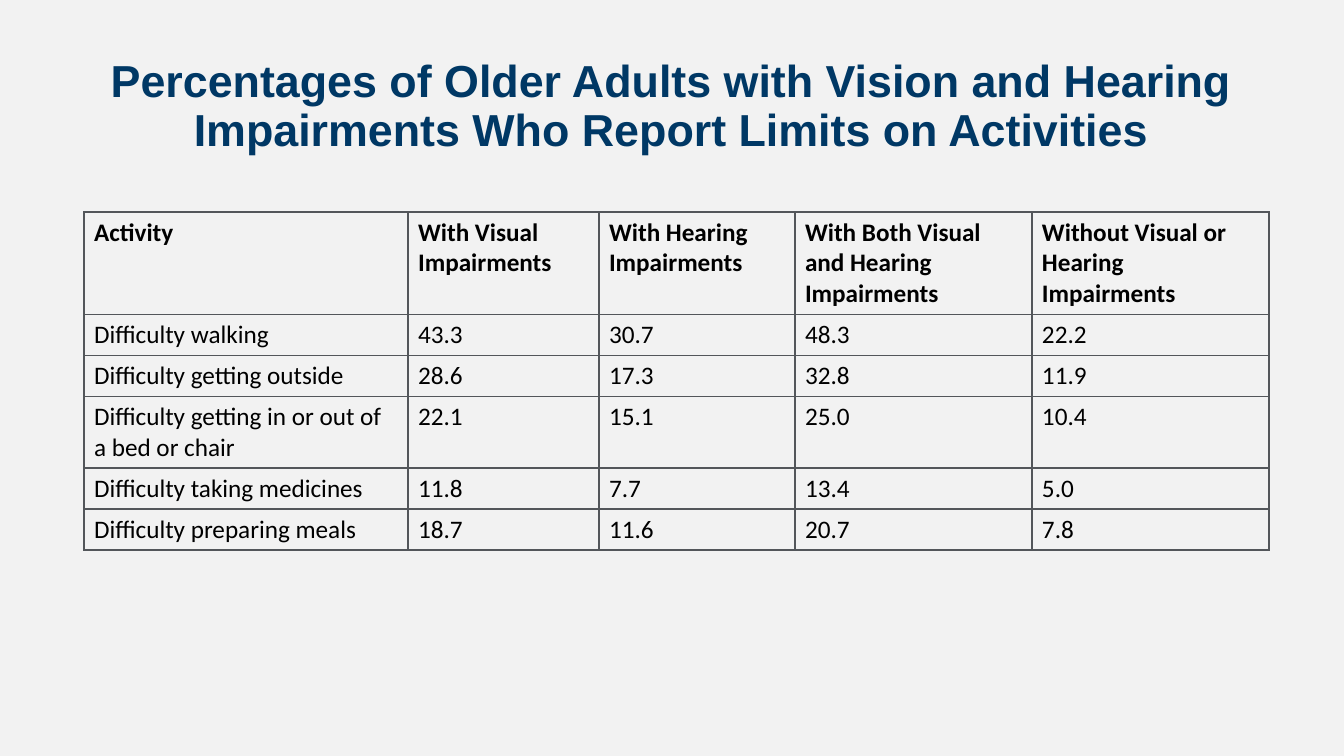
from dataclasses import dataclass

from lxml.etree import SubElement
from pptx import Presentation
from pptx.dml.color import RGBColor
from pptx.enum.text import MSO_ANCHOR, MSO_AUTO_SIZE, PP_ALIGN
from pptx.oxml.ns import qn
from pptx.slide import Slide
from pptx.table import _Cell
from pptx.text.text import _Paragraph
from pptx.util import Emu, Pt

PX = 914400 / 100.8
BACKGROUND, NAVY, BLACK, GREY = "F2F2F2", "003865", "000000", "53565A"
TITLE = ("Percentages of Older Adults with Vision and Hearing Impairments "
         "Who Report Limits on Activities")
TITLE_FORMAT = {"name": "Arial", "size": Pt(32), "bold": True}
HEADER_FORMAT = {"name": "Calibri", "size": Pt(18), "bold": True}
BODY_FORMAT = {**HEADER_FORMAT, "bold": False}
ROW_HEIGHT = 41


@dataclass
class Column:
    heading: str
    width: int


@dataclass
class Activity:
    name: str
    percentages: tuple[float, ...]


COLUMNS = [
    Column("Activity", 324),
    Column("With Visual Impairments", 191),
    Column("With Hearing Impairments", 196),
    Column("With Both Visual and Hearing Impairments", 237),
    Column("Without Visual or Hearing Impairments", 237),
]
ACTIVITIES = [
    Activity("Difficulty walking", (43.3, 30.7, 48.3, 22.2)),
    Activity("Difficulty getting outside", (28.6, 17.3, 32.8, 11.9)),
    Activity("Difficulty getting in or out of a bed or chair", (22.1, 15.1, 25.0, 10.4)),
    Activity("Difficulty taking medicines", (11.8, 7.7, 13.4, 5.0)),
    Activity("Difficulty preparing meals", (18.7, 11.6, 20.7, 7.8)),
]


def px(n: int) -> Emu:
    """Turn pixels into EMU."""
    return Emu(round(n * PX))


def rgb(value: str) -> RGBColor:
    """Turn a hex string into a colour."""
    return RGBColor.from_string(value)


def write(p: _Paragraph, text: str, values: dict, color: str) -> None:
    """Add one formatted run to a paragraph."""
    r = p.add_run()
    r.text = text
    for key, value in values.items():
        setattr(r.font, key, value)
    r.font.color.rgb = rgb(color)


def add_borders(cell: _Cell) -> None:
    """Outline all four sides of a cell."""
    tc_pr = cell._tc.get_or_add_tcPr()
    for side in ("lnL", "lnR", "lnT", "lnB"):
        ln = SubElement(tc_pr, qn(f"a:{side}"), w=str(Pt(1)))
        fill = SubElement(ln, qn("a:solidFill"))
        SubElement(fill, qn("a:srgbClr"), val=GREY)


def add_title(s: Slide) -> None:
    """Place and fill the title placeholder."""
    sp = s.shapes.title
    sp.left, sp.top, sp.width, sp.height = map(px, (52, 52, 1239, 111))
    tf = sp.text_frame
    tf.word_wrap = True
    tf.auto_size = MSO_AUTO_SIZE.NONE
    tf.vertical_anchor = MSO_ANCHOR.MIDDLE
    p = tf.paragraphs[0]
    p.alignment = PP_ALIGN.CENTER
    p.line_spacing = 0.9
    write(p, TITLE, TITLE_FORMAT, NAVY)


def add_activity_table(s: Slide) -> None:
    """Draw the table of activity limits."""
    rows = [[c.heading for c in COLUMNS]]
    rows += [[a.name, *(f"{v:.1f}" for v in a.percentages)] for a in ACTIVITIES]
    width = sum(c.width for c in COLUMNS)
    table = s.shapes.add_table(len(rows), len(COLUMNS), px(84), px(212),
                               px(width), px(ROW_HEIGHT * len(rows))).table
    table.first_row = table.horz_banding = False
    for column, spec in zip(table.columns, COLUMNS):
        column.width = px(spec.width)
    for i, texts in enumerate(rows):
        table.rows[i].height = px(ROW_HEIGHT)
        values = BODY_FORMAT if i else HEADER_FORMAT
        for j, text in enumerate(texts):
            cell = table.cell(i, j)
            add_borders(cell)
            cell.fill.background()
            write(cell.text_frame.paragraphs[0], text, values, BLACK)


def main() -> None:
    """Build and save the slide."""
    prs = Presentation()
    prs.slide_width, prs.slide_height = px(1344), px(756)
    s = prs.slides.add_slide(prs.slide_layouts[5])
    s.background.fill.solid()
    s.background.fill.fore_color.rgb = rgb(BACKGROUND)
    add_title(s)
    add_activity_table(s)
    prs.save("out.pptx")


if __name__ == "__main__":
    main()
